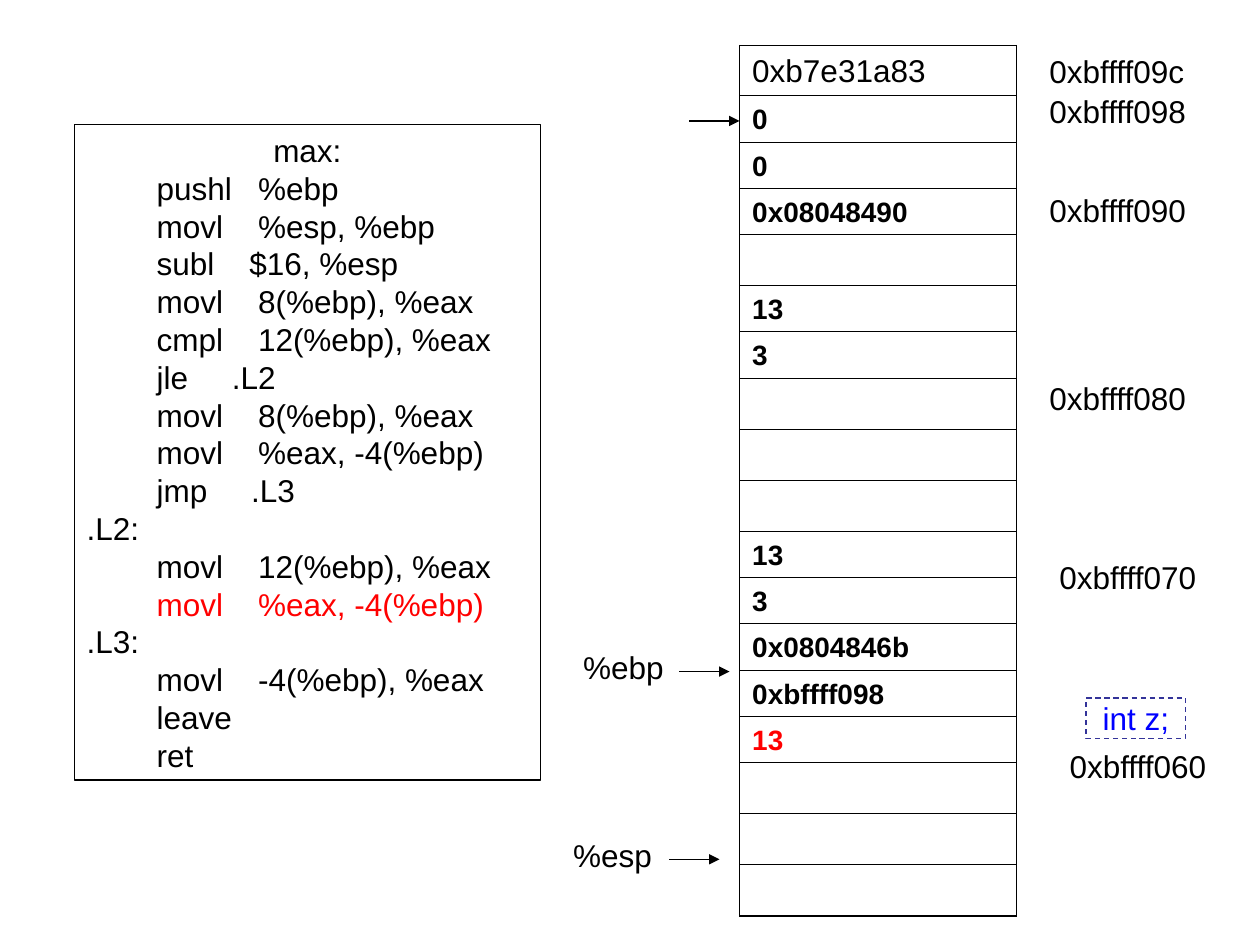
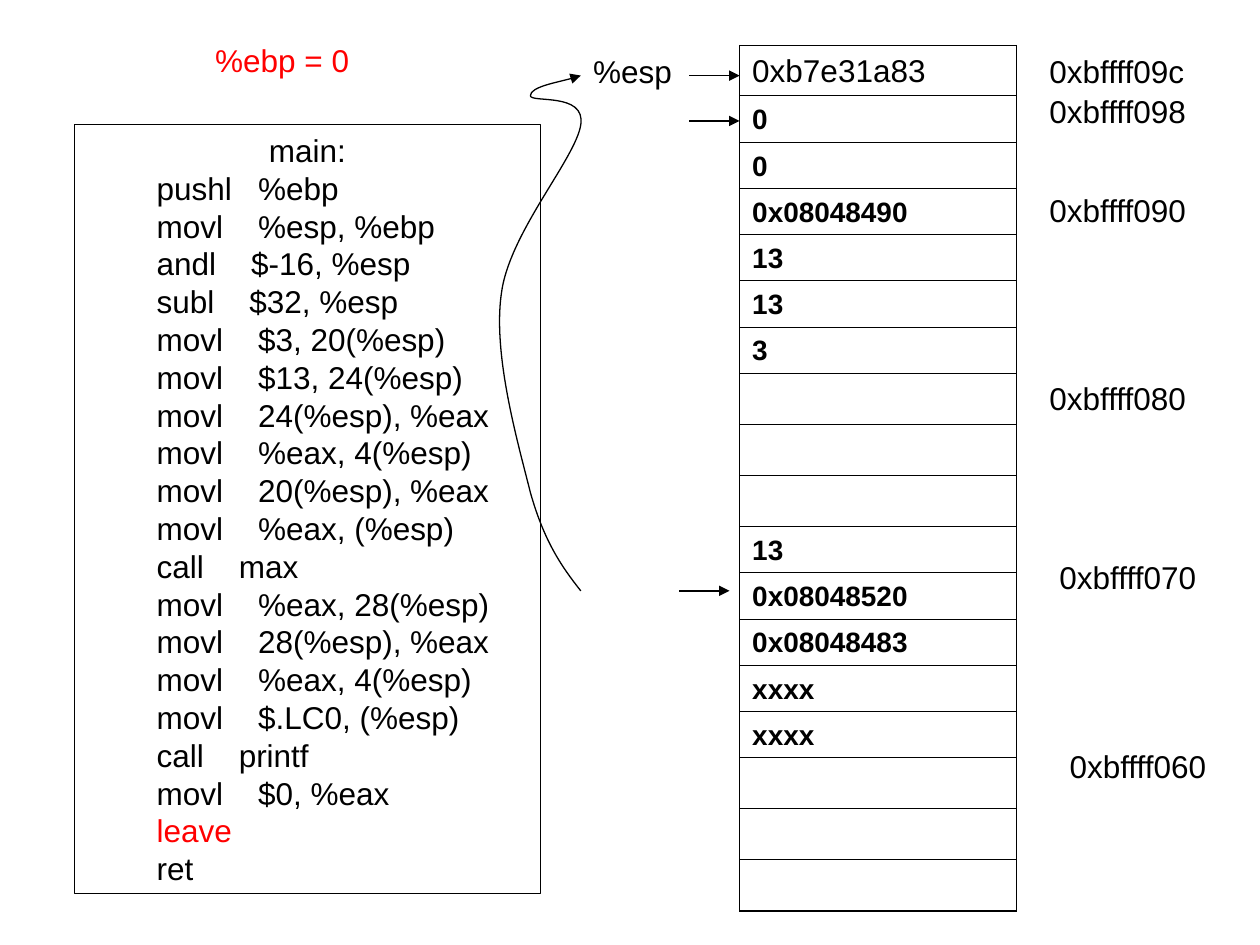
from dataclasses import dataclass

from lxml import etree
from pptx import Presentation
from pptx.dml.color import RGBColor
from pptx.enum.dml import MSO_LINE
from pptx.enum.shapes import MSO_CONNECTOR, MSO_SHAPE
from pptx.enum.text import MSO_ANCHOR
from pptx.oxml.ns import qn
from pptx.util import Emu, Inches, Pt

BLACK = RGBColor(0x00, 0x00, 0x00)
RED = RGBColor(0xFF, 0x00, 0x00)
BLUE = RGBColor(0x00, 0x00, 0xFF)
NAVY = RGBColor(0x33, 0x33, 0x99)

RECT = MSO_SHAPE.RECTANGLE
STRAIGHT = MSO_CONNECTOR.STRAIGHT
DASH = MSO_LINE.DASH
TOP, MIDDLE = MSO_ANCHOR.TOP, MSO_ANCHOR.MIDDLE

FONT = "Arial"
SIZE = 18
LEADING = 1.2
THIN, EDGE, BASE = 0.75, 0.45, 1.08
WIDTH, HEIGHT = Inches(10), Inches(7.5)

# Places are percentages of the slide's width and height
STEP = 0.8               # sideways shift of labels and arrows
TAG_X, TAG_W = 44.5, 9.5
ARROW_X, ARROW_W = 53.1, 4
DROP = 3.13              # from the top of a tag to its arrow
ADDR_X, ADDR_W = 82.3, 14.2
TEXT_H = 5.33
STACK = (58.7, 4.8, 22)
CODE = (5.9, 13.2, 37)


@dataclass
class Mark:
    """An arrow to the stack, with the register that holds it."""
    shift: int
    y: float
    tag: str = ""


@dataclass
class Addr:
    shift: int
    y: float
    text: str


@dataclass
class Frame:
    """One state of the program: its code, stack and pointers."""
    code: str
    code_hot: int
    stack: list[str]
    marks: list[Mark]
    stack_hot: int = -1


ADDRS = [
    Addr(0, 4.8, "0xbffff09c"),
    Addr(0, 9.07, "0xbffff098"),
    Addr(0, 19.6, "0xbffff090"),
    Addr(0, 39.47, "0xbffff080"),
    Addr(1, 58.4, "0xbffff070"),
    Addr(2, 78.4, "0xbffff060"),
]

OLD_EBP = Mark(2, 12.8)
HEAD = ["0xb7e31a83", "0", "0", "0x08048490"]

MAX = Frame(
    code="""max:
        pushl   %ebp
        movl    %esp, %ebp
        subl    $16, %esp
        movl    8(%ebp), %eax
        cmpl    12(%ebp), %eax
        jle     .L2
        movl    8(%ebp), %eax
        movl    %eax, -4(%ebp)
        jmp     .L3
.L2:
        movl    12(%ebp), %eax
        movl    %eax, -4(%ebp)
.L3:
        movl    -4(%ebp), %eax
        leave
        ret""",
    code_hot=12,
    stack=HEAD + ["", "13", "3", "", "", "", "13", "3", "0x0804846b",
                  "0xbffff098", "13", "", "", ""],
    stack_hot=14,
    marks=[OLD_EBP, Mark(1, 71.07, "%ebp"), Mark(0, 90.93, "%esp")],
)

MAIN = Frame(
    code="""main:
        pushl   %ebp
        movl    %esp, %ebp
        andl    $-16, %esp
        subl    $32, %esp
        movl    $3, 20(%esp)
        movl    $13, 24(%esp)
        movl    24(%esp), %eax
        movl    %eax, 4(%esp)
        movl    20(%esp), %eax
        movl    %eax, (%esp)
        call    max
        movl    %eax, 28(%esp)
        movl    28(%esp), %eax
        movl    %eax, 4(%esp)
        movl    $.LC0, (%esp)
        call    printf
        movl    $0, %eax
        leave
        ret""",
    code_hot=18,
    stack=HEAD + ["13", "13", "3", "", "", "", "13", "0x08048520",
                  "0x08048483", "xxxx", "xxxx", "", "", ""],
    marks=[OLD_EBP, Mark(1, 62.53), Mark(2, 8, "%esp")],
)

# Start point, then three points for each curved part
JUMP = [
    (46.1, 62.53),
    (44.6, 60), (43.2, 57.33), (42.1, 52.13),
    (41.1, 46.8), (39.1, 37.6), (39.8, 31.07),
    (40.4, 24.67), (45.7, 16.8), (46.1, 13.2),
    (46.5, 9.73), (42.1, 10.93), (42.1, 10.13),
    (42.1, 9.2), (45.4, 8.4), (46.1, 8),
]


def across(share: float) -> Emu:
    return Emu(round(WIDTH * share / 100))


def down(share: float) -> Emu:
    return Emu(round(HEIGHT * share / 100))


def write(frame, text: str, *, size=SIZE, bold=False, color=BLACK, hot=-1):
    """Fill a text frame line by line; the line numbered hot is red."""
    frame.word_wrap = True
    for i, line in enumerate(text.split("\n")):
        para = frame.paragraphs[0] if i == 0 else frame.add_paragraph()
        para.line_spacing = Pt(size * LEADING)
        if not line:
            continue
        run = para.add_run()
        run.text = line
        font = run.font
        font.name, font.size, font.bold = FONT, Pt(size), bold
        font.color.rgb = RED if i == hot else color


def label(slide, x: float, y: float, w: float, text: str, color=BLACK):
    box = slide.shapes.add_textbox(across(x), down(y), across(w), down(TEXT_H))
    write(box.text_frame, text, color=color)


def panel(slide, x: float, y: float, w: float, h: float, line=BLACK):
    """Draw an outlined box and give it back."""
    box = slide.shapes.add_shape(RECT, across(x), down(y), across(w), down(h))
    box.shadow.inherit = False
    box.fill.background()
    box.line.color.rgb = line
    box.line.width = Pt(THIN)
    box.text_frame.vertical_anchor = TOP
    return box


def tip(shape):
    """Style a thin black line that ends in an arrowhead."""
    shape.line.color.rgb = BLACK
    shape.line.width = Pt(THIN)
    props = shape.line._get_or_add_ln()
    etree.SubElement(props, qn("a:tailEnd"), type="triangle")


def arrow(slide, x: float, y: float):
    line = slide.shapes.add_connector(
        STRAIGHT, across(x), down(y), across(x + ARROW_W), down(y))
    tip(line)
    etree.SubElement(line._element.spPr, qn("a:effectLst"))


def curve(slide, points: list[tuple[float, float]]):
    spots = [(across(x), down(y)) for x, y in points]
    form = slide.shapes.build_freeform(*spots[0])
    form.add_line_segments(spots[1:], close=False)
    shape = form.convert_to_shape()
    shape.shadow.inherit = False
    shape.fill.background()
    tip(shape)
    # Join each three straight parts into one Bezier part
    path = next(shape._element.iter(qn("a:path")))
    parts = path.findall(qn("a:lnTo"))
    for i in range(0, len(parts), 3):
        bend = etree.SubElement(path, qn("a:cubicBezTo"))
        for part in parts[i:i + 3]:
            bend.append(part[0])
            path.remove(part)


def border(cell, last: bool):
    props = cell._tc.get_or_add_tcPr()
    for side in "LRTB":
        width = BASE if last and side == "B" else EDGE
        line = etree.SubElement(props, qn(f"a:ln{side}"), w=str(Pt(width)))
        fill = etree.SubElement(line, qn("a:solidFill"))
        etree.SubElement(fill, qn("a:srgbClr"), val=str(BLACK))


def stack(slide, words: list[str], hot: int):
    x, y, w = STACK
    sizes = [16 if word and i else SIZE for i, word in enumerate(words)]
    # A row is one line of text and the cell's margins
    rows = [Pt(size * LEADING) + Inches(0.1) for size in sizes]
    grid = slide.shapes.add_table(
        len(words), 1, across(x), down(y), across(w), sum(rows)).table
    grid.first_row = grid.horz_banding = False
    for i, word in enumerate(words):
        grid.rows[i].height = rows[i]
        cell = grid.cell(i, 0)
        cell.vertical_anchor = MIDDLE
        border(cell, i == len(words) - 1)
        cell.fill.background()
        write(cell.text_frame, word, size=sizes[i], bold=i > 0,
              color=RED if i == hot else BLACK)


def draw(deck, frame: Frame):
    """Add a slide with the code, the stack and its pointers."""
    slide = deck.slides.add_slide(deck.slide_layouts[6])
    # Code, four percent of the height for a line
    lines = frame.code.count("\n") + 1
    box = panel(slide, *CODE, lines * 4 + 1.33)
    write(box.text_frame, frame.code, hot=frame.code_hot)
    # Stack and addresses
    stack(slide, frame.stack, frame.stack_hot)
    for addr in ADDRS:
        label(slide, ADDR_X + addr.shift * STEP, addr.y, ADDR_W, addr.text)
    # Pointers
    for mark in frame.marks:
        move = mark.shift * STEP
        arrow(slide, ARROW_X + move, mark.y)
        if mark.tag:
            label(slide, TAG_X + move, mark.y - DROP, TAG_W, mark.tag)
    return slide


def main():
    deck = Presentation()
    deck.slide_width, deck.slide_height = WIDTH, HEIGHT

    # Inside max: the local variable is set
    slide = draw(deck, MAX)
    note = panel(slide, 86.2, 73.87, 7.9, 4.27, line=NAVY)
    note.line.dash_style = DASH
    text = note.text_frame
    text.margin_left = text.margin_right = Inches(0.02)
    text.margin_top = text.margin_bottom = Inches(0.01)
    write(text, "int z;", color=BLUE)

    # Back in main: leave moves the stack pointer
    slide = draw(deck, MAIN)
    curve(slide, JUMP)
    label(slide, 16.1, 3.73, 14.2, "%ebp = 0", color=RED)

    deck.save("out.pptx")


if __name__ == "__main__":
    main()
